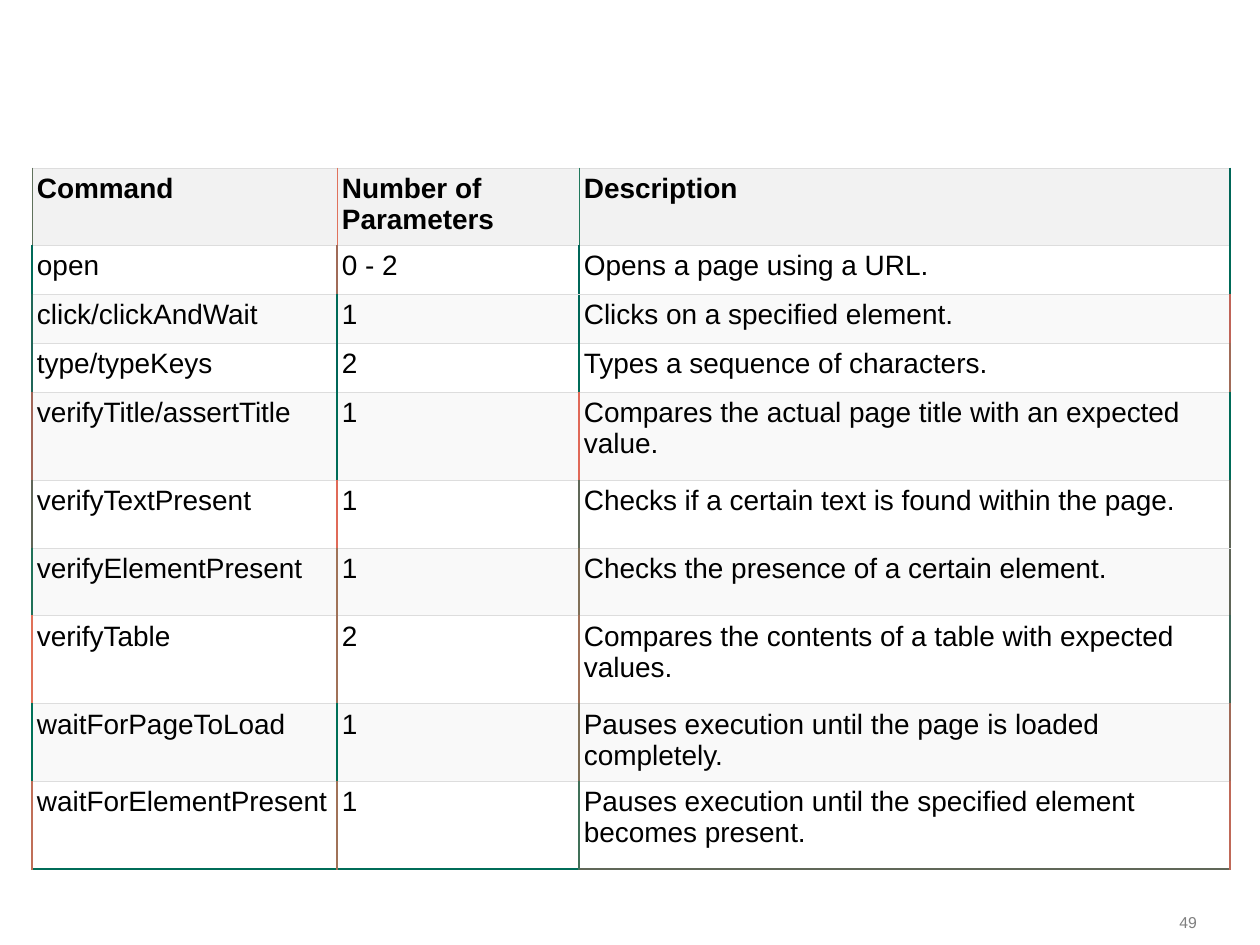
from lxml import etree
from pptx import Presentation
from pptx import util as u
from pptx.dml.color import RGBColor
from pptx.enum import text
from pptx.oxml.ns import qn

SCALE = 914400 / 126
COLS = [305, 242, 651]
LOW, MID, HIGH = 49, 68, 88
GREY = "DDDDDD"
HEAD, ODD, EVEN = "F2F2F2", "FFFFFF", "F9F9F9"

# height, cell texts, colours of the four upright rules
ROWS = [
    (LOW, ["Command", "Number of Parameters", "Description"],
     ["60715C", "E0725C", "20785C", "006658"]),
    (LOW, ["open", "0 - 2", "Opens a page using a URL."],
     ["006A58", "A06B58", "006658", "006A58"]),
    (LOW, ["click/clickAndWait", "1", "Clicks on a specified element."],
     ["206758", "006A58", "006658", "C06458"]),
    (LOW, ["type/typeKeys", "2", "Types a sequence of characters."],
     ["206558", "006658", "006B58", "A06B58"]),
    (HIGH, ["verifyTitle/assertTitle", "1",
            "Compares the actual page title with an expected value."],
     ["A06658", "006C58", "E06958", "006B58"]),
    (MID, ["verifyTextPresent", "1",
           "Checks if a certain text is found within the page."],
     ["606558", "E06A58", "606858", "606558"]),
    (MID, ["verifyElementPresent", "1",
           "Checks the presence of a certain element."],
     ["207158", "A07358", "807058", "606558"]),
    (HIGH, ["verifyTable", "2",
            "Compares the contents of a table with expected values."],
     ["E07158", "A07158", "A07158", "406758"]),
    (MID, ["waitForPageToLoad", "1",
           "Pauses execution until the page is loaded completely."],
     ["007158", "007058", "807058", "A06A58"]),
    (HIGH, ["waitForElementPresent", "1",
            "Pauses execution until the specified element becomes present."],
     ["C06F58", "A07258", "407058", "C06958"]),
]
FOOT = ["006C58", "006C58", "606758"]


def px(n):
    return u.Emu(round(n * SCALE))


def rgb(code):
    return RGBColor.from_string(code)


def style(item, values):
    for name, value in values.items():
        setattr(item, name, value)


def write(frame, words, size, color, bold=False, align=None):
    para = frame.paragraphs[0]
    para.alignment = align
    run = para.add_run()
    run.text = words
    style(run.font, {"size": u.Pt(size), "name": "Arial", "bold": bold})
    run.font.color.rgb = rgb(color)


def edge(cell, lines):
    """Draw the left, right, top and bottom borders, given as (colour, points)."""
    props = cell._tc.get_or_add_tcPr()
    for i, (side, (color, width)) in enumerate(zip("LRTB", lines)):
        line = etree.Element(qn(f"a:ln{side}"), w=str(u.Pt(width)))
        fill = etree.SubElement(line, qn("a:solidFill"))
        etree.SubElement(fill, qn("a:srgbClr"), val=color)
        props.insert(i, line)


def add_grid(slide):
    height = sum(row[0] for row in ROWS)
    table = slide.shapes.add_table(len(ROWS), len(COLS), px(32), px(168),
                                   px(sum(COLS)), px(height)).table
    style(table, {"first_row": False, "horz_banding": False})
    for col, width in zip(table.columns, COLS):
        col.width = px(width)
    pads = {f"margin_{side}": px(5) for side in ("left", "right", "top", "bottom")}
    for r, (tall, words, rules) in enumerate(ROWS):
        table.rows[r].height = px(tall)
        for c, word in enumerate(words):
            cell = table.cell(r, c)
            style(cell, pads)
            write(cell.text_frame, word, 16, "000000", bold=r == 0)
            cell.fill.solid()
            cell.fill.fore_color.rgb = rgb(HEAD if r == 0 else ODD if r % 2 else EVEN)
            sides = [(rules[n], 0.6 if r == 0 and n < 3 else 1) for n in (c, c + 1)]
            base = (FOOT[c], 1) if r == len(ROWS) - 1 else (GREY, 0.6)
            edge(cell, sides + [(GREY, 0.6), base])


def add_number(slide, number):
    frame = slide.shapes.add_textbox(px(1123), px(905), px(74), px(34)).text_frame
    style(frame, {"margin_left": 0, "margin_right": 0, "margin_top": 0,
                  "margin_bottom": 0, "word_wrap": True,
                  "vertical_anchor": text.MSO_ANCHOR.MIDDLE})
    write(frame, number, 9, "7F7F7F", align=text.PP_ALIGN.RIGHT)


def main():
    deck = Presentation()
    style(deck, {"slide_width": px(1260), "slide_height": px(945)})
    slide = deck.slides.add_slide(deck.slide_layouts[6])
    add_number(slide, "49")
    add_grid(slide)
    deck.save("out.pptx")


if __name__ == "__main__":
    main()
